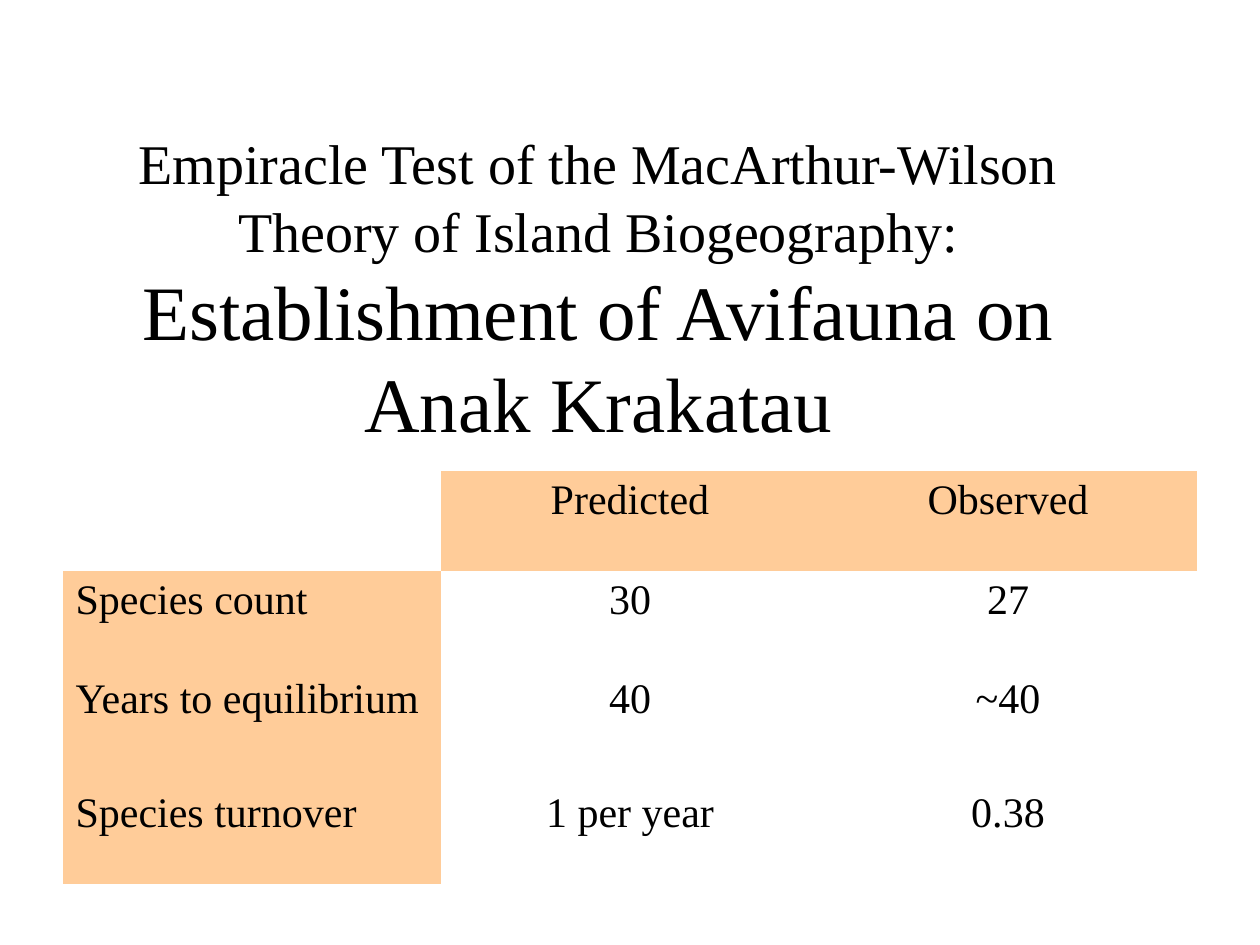
from dataclasses import dataclass

from pptx import Presentation
from pptx.dml.color import RGBColor
from pptx.enum.text import MSO_ANCHOR, PP_ALIGN
from pptx.oxml.ns import qn
from pptx.util import Inches, Pt


@dataclass(frozen=True)
class Theme:
    font: str = "Times New Roman"
    text: RGBColor = RGBColor(0x00, 0x00, 0x00)
    plain: RGBColor = RGBColor(0xFF, 0xFF, 0xFF)
    header: RGBColor = RGBColor(0xFF, 0xCC, 0x99)
    lead_size: Pt = Pt(32)
    title_size: Pt = Pt(44)
    table_size: Pt = Pt(24)


theme = Theme()
NO_STYLE_NO_GRID = "{2D5ABB26-0587-4C30-8999-92F81FD0307C}"


def format_runs(paragraph, sizes, alignment):
    paragraph.alignment = alignment
    for run, size in zip(paragraph.runs, sizes):
        run.font.name = theme.font
        run.font.size = size
        run.font.color.rgb = theme.text


presentation = Presentation()
presentation.slide_width = Inches(10)
presentation.slide_height = Inches(7.5)
slide = presentation.slides.add_slide(presentation.slide_layouts[6])

title = slide.shapes.add_textbox(Inches(0.5), Inches(0.97), Inches(8.5), Inches(2.64))
title.text_frame.word_wrap = True
title.text_frame.vertical_anchor = MSO_ANCHOR.MIDDLE
title_paragraph = title.text_frame.paragraphs[0]
title_paragraph.text = (
    "Empiracle Test of the MacArthur-Wilson Theory of Island Biogeography:\v"
    "Establishment of Avifauna on Anak Krakatau"
)
format_runs(title_paragraph, [theme.lead_size, theme.title_size], PP_ALIGN.CENTER)

results = [
    ["", "Predicted", "Observed"],
    ["Species count", "30", "27"],
    ["Years to equilibrium", "40", "~40"],
    ["Species turnover", "1 per year", "0.38"],
]
row_heights = [0.79, 0.79, 0.9, 0.8]

table_frame = slide.shapes.add_table(
    len(results), len(results[0]), Inches(0.5), Inches(3.74), Inches(9), Inches(sum(row_heights))
)
table = table_frame.table
table.first_row = False
table.horz_banding = False
next(table_frame.element.iter(qn("a:tableStyleId"))).text = NO_STYLE_NO_GRID

for row_index, (values, height) in enumerate(zip(results, row_heights)):
    table.rows[row_index].height = Inches(height)
    for column_index, value in enumerate(values):
        cell = table.cell(row_index, column_index)
        is_header = (row_index == 0) != (column_index == 0)
        cell.fill.solid()
        cell.fill.fore_color.rgb = theme.header if is_header else theme.plain
        cell.text_frame.text = value
        alignment = PP_ALIGN.CENTER if column_index else PP_ALIGN.LEFT
        format_runs(cell.text_frame.paragraphs[0], [theme.table_size], alignment)

presentation.save("out.pptx")
